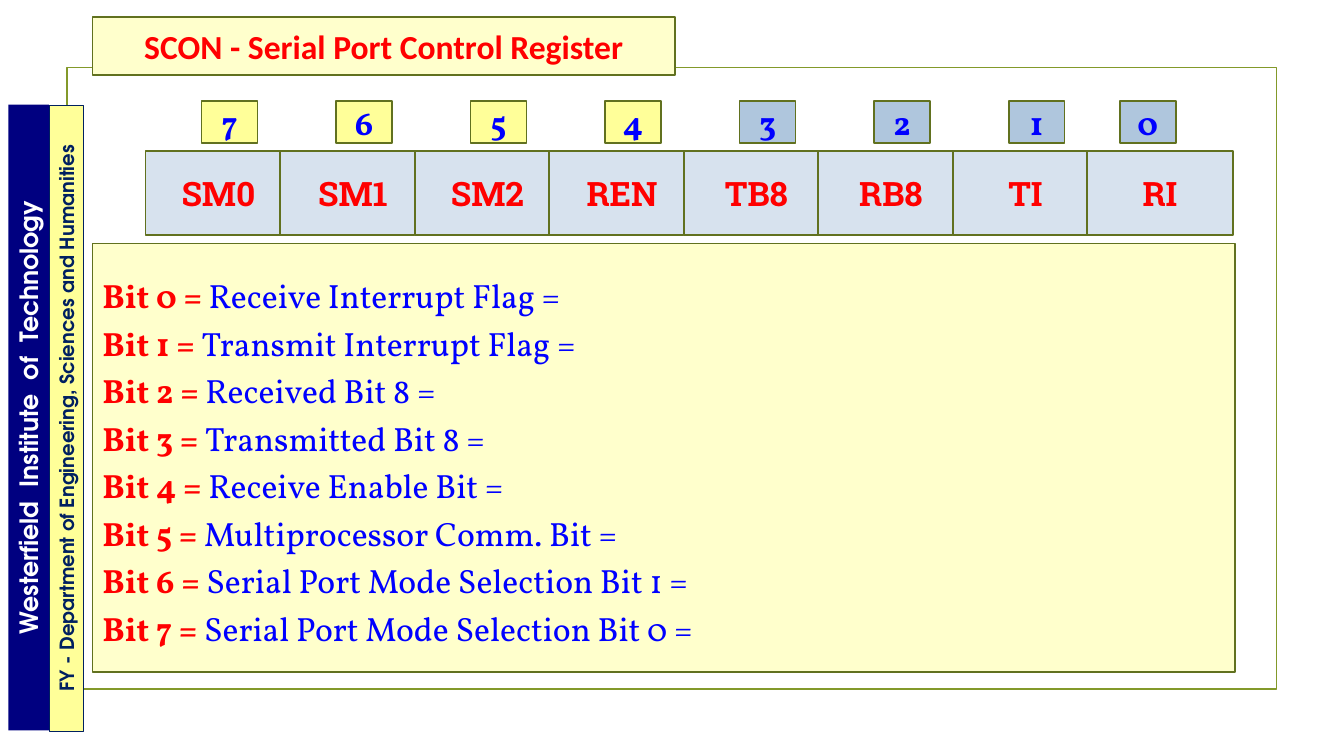
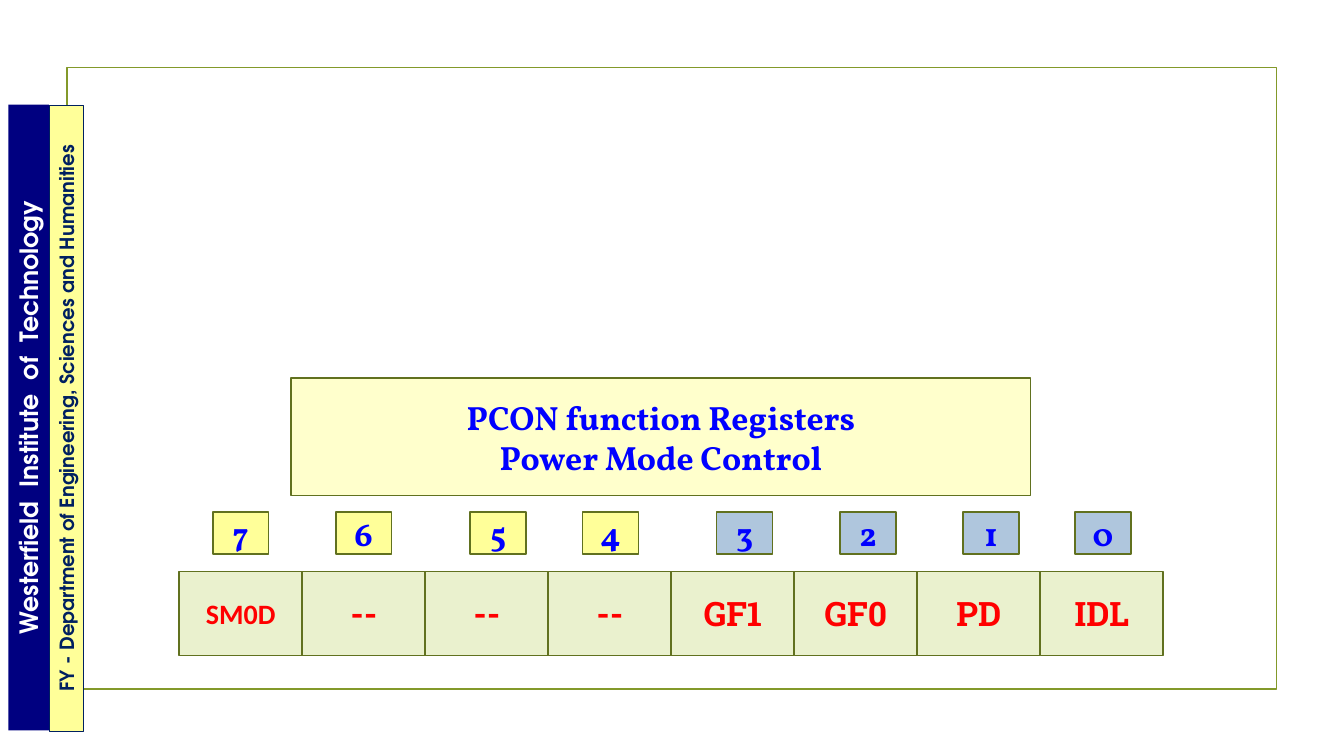
from pptx import Presentation
from pptx.dml.color import RGBColor
from pptx.enum.shapes import MSO_SHAPE
from pptx.enum.text import MSO_ANCHOR, MSO_AUTO_SIZE, PP_ALIGN
from pptx.util import Cm, Pt

RECT = MSO_SHAPE.RECTANGLE
TOP, MIDDLE = MSO_ANCHOR.TOP, MSO_ANCHOR.MIDDLE
LEFT, CENTER = PP_ALIGN.LEFT, PP_ALIGN.CENTER
NO_FIT, GROW = MSO_AUTO_SIZE.NONE, MSO_AUTO_SIZE.SHAPE_TO_FIT_TEXT
TITLE_ONLY = 5

SANS, SLAB, SERIF, BAND = "Calibri", "Roboto Slab", "Vollkorn", "TeX Gyre Adventor"
RED, BLUE, WHITE, NAVY, DEEP = "FF0000", "0000FF", "FFFFFF", "000080", "002060"
CREAM, YELLOW, STEEL = "FFFFCC", "FFFF99", "AFC6DD"
PALE_BLUE, PALE_GREEN = "D7E2EE", "EAF1CE"
OLIVE, FRAME = "61711F", "83992A"

BIT_W, BIT_H, CELL_H = 1.41, 1.06, 2.12

FLAGS = [
    "Receive Interrupt Flag",
    "Transmit Interrupt Flag",
    "Received Bit 8",
    "Transmitted Bit 8",
    "Receive Enable Bit",
    "Multiprocessor Comm. Bit",
    "Serial Port Mode Selection Bit 1",
    "Serial Port Mode Selection Bit 0",
]


def rgb(value):
    """Turn a hex string into a colour."""
    return RGBColor.from_string(value)


def write(p, text, font=SERIF, size=24, color=BLUE, bold=True, align=CENTER):
    """Add a formatted run to a paragraph."""
    p.alignment = align
    r = p.add_run()
    r.text = text
    r.font.name = font
    r.font.size = Pt(size)
    r.font.bold = bold
    r.font.color.rgb = rgb(color)


def paint(sp, fill=None, line=OLIVE, width=1.25):
    """Set the fill and outline of a shape."""
    if fill:
        sp.fill.solid()
        sp.fill.fore_color.rgb = rgb(fill)
    else:
        sp.fill.background()
    if line:
        sp.line.color.rgb = rgb(line)
        sp.line.width = Pt(width)
    else:
        sp.line.fill.background()


def box(s, x, y, w, h, text="", fill=None, line=OLIVE, width=1.25, **fmt):
    """Add a rectangle, measured in centimetres, with an optional text."""
    sp = s.shapes.add_shape(RECT, Cm(x), Cm(y), Cm(w), Cm(h))
    sp.shadow.inherit = False
    paint(sp, fill, line, width)
    tf = sp.text_frame
    tf.word_wrap = True
    tf.vertical_anchor = MIDDLE
    if text:
        write(tf.paragraphs[0], text, **fmt)
    return sp


def band(s, x, y, h, text, **fmt):
    """Add a vertical side band that reads upwards."""
    sp = box(s, x, y, 15.77, h, text, font=BAND, **fmt)
    sp.rotation = 270
    sp.text_frame.vertical_anchor = TOP
    sp.text_frame.auto_size = GROW
    return sp


def furnish_layout(layout, s):
    """Build the frame and side bands, and move them to the shared layout."""
    shared = [
        box(s, 1.69, 1.7, 30.48, 15.66, line=FRAME),
        band(s, -7.16, 10.01, 1.02, "Westerfield  Institute  of  Technology",
             fill=NAVY, line=None, size=18, color=WHITE),
        band(s, -6.2, 10.11, 0.86,
             "FY - Department of Engineering, Sciences and Humanities",
             fill=YELLOW, line=DEEP, width=0.75, size=14, color=DEEP),
    ]
    for number, sp in enumerate(shared, start=101):
        sp.element.nvSpPr.cNvPr.id = number
        layout.shapes.element.append(sp.element)


def title(s, x, y, w, h, lines, **fmt):
    """Place and format the title placeholder."""
    sp = s.shapes.title
    sp.left, sp.top, sp.width, sp.height = Cm(x), Cm(y), Cm(w), Cm(h)
    paint(sp, CREAM)
    tf = sp.text_frame
    tf.word_wrap = True
    tf.auto_size = NO_FIT
    tf.vertical_anchor = MIDDLE
    for i, text in enumerate(lines):
        p = tf.add_paragraph() if i else tf.paragraphs[0]
        write(p, text, **fmt)


def register(s, x, y, pitch, cell_w, names, fill):
    """Add a row of named register cells."""
    for i, name in enumerate(names):
        fmt = {"font": SANS, "size": 20} if name == "SM0D" else {"font": SLAB}
        box(s, x + i * pitch, y, cell_w, CELL_H, name, fill=fill, color=RED, **fmt)


def bit_numbers(s, y, lefts):
    """Add the bit numbers 7 to 0, the upper four in yellow."""
    for bit, x in zip(range(7, -1, -1), lefts):
        box(s, x, y, BIT_W, BIT_H, str(bit), fill=YELLOW if bit > 3 else STEEL)


def flag_list(s):
    """Add the panel that explains each bit."""
    tf = box(s, 2.33, 6.14, 28.79, 10.8, fill=CREAM).text_frame
    for bit, flag in enumerate(FLAGS):
        p = tf.add_paragraph() if bit else tf.paragraphs[0]
        p.line_spacing = Pt(34)
        write(p, f"Bit {bit} = ", color=RED, align=LEFT)
        write(p, f"{flag} = ", bold=False, align=LEFT)


def scon_slide(s):
    """Fill the serial port control slide."""
    title(s, 2.33, 0.42, 14.68, 1.48, ["SCON - Serial Port Control Register"],
          font=SANS, color=RED)
    names = ["SM0", "SM1", "SM2", "REN", "TB8", "RB8", "TI", "RI"]
    register(s, 3.67, 3.81, 3.39, 3.67, names, PALE_BLUE)
    bit_numbers(s, 2.54, [5.08 + 3.39 * i for i in range(7)] + [28.22])
    flag_list(s)


def pcon_slide(s):
    """Fill the power mode control slide."""
    title(s, 7.34, 9.53, 18.63, 2.96,
          ["PCON function Registers", "Power Mode Control"])
    names = ["SM0D", "--", "--", "--", "GF1", "GF0", "PD", "IDL"]
    register(s, 4.52, 14.4, 3.1, 3.1, names, PALE_GREEN)
    bit_numbers(s, 12.91,
                [5.36, 8.46, 11.85, 14.68, 18.06, 21.17, 24.27, 27.09])


def main():
    """Build and save the presentation."""
    prs = Presentation()
    prs.slide_width, prs.slide_height = Cm(33.87), Cm(19.05)
    layout = prs.slide_layouts[TITLE_ONLY]
    scon, pcon = (prs.slides.add_slide(layout) for _ in range(2))
    furnish_layout(layout, scon)
    scon_slide(scon)
    pcon_slide(pcon)
    prs.save("out.pptx")


main()
